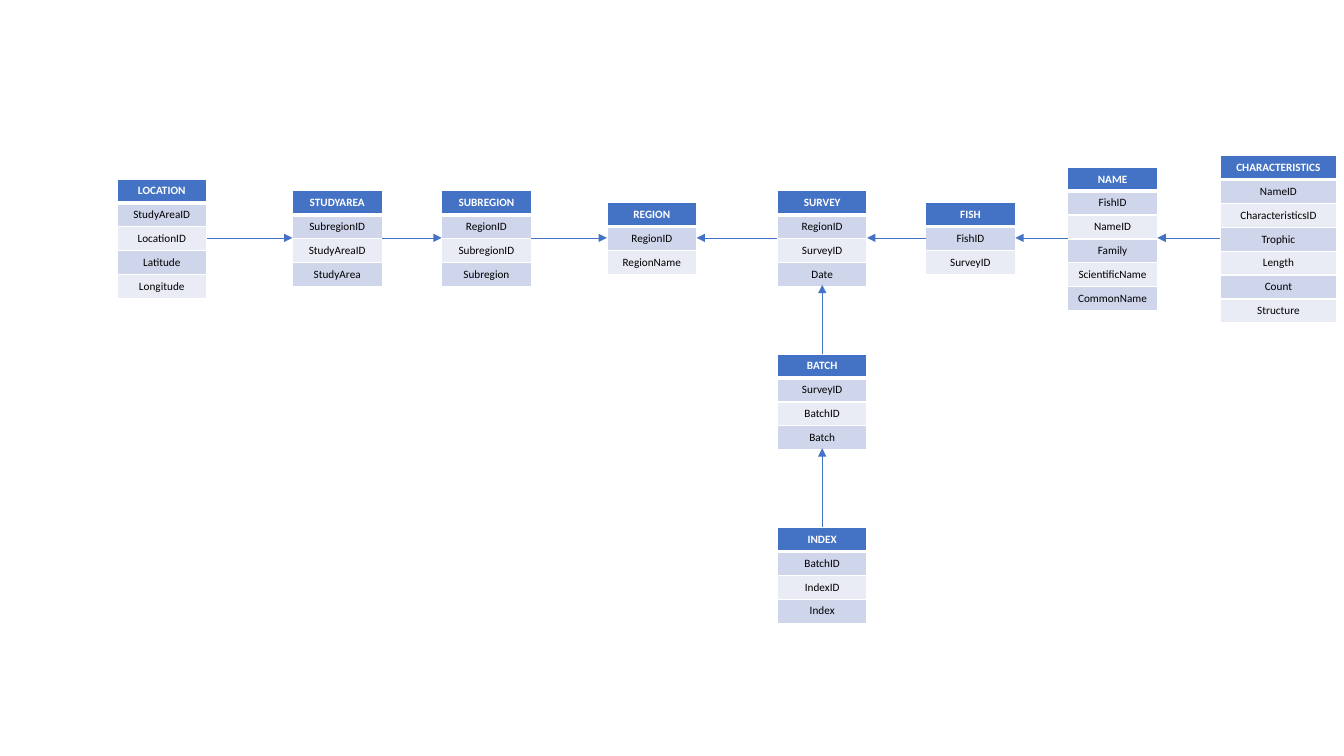
from lxml import etree
from pptx import Presentation
from pptx import util as u
from pptx.dml.color import RGBColor
from pptx.enum import shapes, text
from pptx.oxml import ns

BLUE = RGBColor(0x44, 0x72, 0xC4)
DARK_BAND = RGBColor(0xCF, 0xD5, 0xEA)
LIGHT_BAND = RGBColor(0xE9, 0xEB, 0xF5)
WHITE = RGBColor(0xFF, 0xFF, 0xFF)
BLACK = RGBColor(0, 0, 0)

# Entities: name -> (left, vertical centre, width, fields)
ENTITIES = {
    "STUDYAREA": (2.9, 2.36, 0.89, ["SubregionID", "StudyAreaID", "StudyArea"]),
    "LOCATION": (1.16, 2.36, 0.89, ["StudyAreaID", "LocationID", "Latitude", "Longitude"]),
    "SURVEY": (7.71, 2.36, 0.89, ["RegionID", "SurveyID", "Date"]),
    "REGION": (6.02, 2.36, 0.89, ["RegionID", "RegionName"]),
    "FISH": (9.18, 2.36, 0.89, ["FishID", "SurveyID"]),
    "SUBREGION": (4.38, 2.36, 0.89, ["RegionID", "SubregionID", "Subregion"]),
    "BATCH": (7.71, 3.98, 0.89, ["SurveyID", "BatchID", "Batch"]),
    "NAME": (10.59, 2.36, 0.89,
             ["FishID", "NameID", "Family", "ScientificName", "CommonName"]),
    "INDEX": (7.71, 5.7, 0.89, ["BatchID", "IndexID", "Index"]),
    "CHARACTERISTICS": (12.1, 2.36, 1.16,
                        ["NameID", "CharacteristicsID", "Trophic", "Length",
                         "Count", "Structure"]),
}

# Relations: (from, to, direction)
RELATIONS = [
    ("LOCATION", "STUDYAREA", "right"),
    ("STUDYAREA", "SUBREGION", "right"),
    ("SUBREGION", "REGION", "right"),
    ("SURVEY", "REGION", "left"),
    ("FISH", "SURVEY", "left"),
    ("NAME", "FISH", "left"),
    ("CHARACTERISTICS", "NAME", "left"),
    ("BATCH", "SURVEY", "up"),
    ("INDEX", "BATCH", "up"),
]

# Direction -> (connector kind, start side, end side)
ROUTES = {
    "right": (shapes.MSO_CONNECTOR.ELBOW, 3, 1),
    "left": (shapes.MSO_CONNECTOR.ELBOW, 1, 3),
    "up": (shapes.MSO_CONNECTOR.STRAIGHT, 0, 2),
}

ROW_HEIGHT = u.Pt(16.8)
HEADER_FONT = {"name": "Calibri", "size": u.Pt(8), "bold": True}
FIELD_FONT = {**HEADER_FONT, "bold": False}


def set_borders(cell, bottom_width):
    """Draw white cell borders; they precede the fill in the XML."""
    properties = cell._tc.get_or_add_tcPr()
    widths = {"lnL": 1, "lnR": 1, "lnT": 1, "lnB": bottom_width}
    for index, (side, width) in enumerate(widths.items()):
        line = etree.Element(ns.qn(f"a:{side}"), w=str(u.Pt(width)))
        fill = etree.SubElement(line, ns.qn("a:solidFill"))
        etree.SubElement(fill, ns.qn("a:srgbClr"), val=str(WHITE))
        properties.insert(index, line)


def fill_cell(cell, label, row):
    header = row == 0
    cell.fill.solid()
    cell.fill.fore_color.rgb = BLUE if header else DARK_BAND if row % 2 else LIGHT_BAND
    para = cell.text_frame.paragraphs[0]
    para.alignment = text.PP_ALIGN.CENTER
    span = para.add_run()
    span.text = label
    for key, value in (HEADER_FONT if header else FIELD_FONT).items():
        setattr(span.font, key, value)
    span.font.color.rgb = WHITE if header else BLACK
    # The header's lower edge and the first field's upper edge share one line
    set_borders(cell, 3 if header else 1)


def add_entity(page, name, left, centre, width, fields):
    labels = [name, *fields]
    height = ROW_HEIGHT * len(labels)
    top = u.Inches(centre) - height // 2
    frame = page.shapes.add_table(len(labels), 1, u.Inches(left), top,
                                  u.Inches(width), height)
    for row, label in enumerate(labels):
        frame.table.rows[row].height = ROW_HEIGHT
        fill_cell(frame.table.cell(row, 0), label, row)
    return frame


def add_relation(page, source, target, direction):
    kind, start_side, end_side = ROUTES[direction]
    arrow = page.shapes.add_connector(kind, 0, 0, 0, 0)
    arrow.begin_connect(source, start_side)
    arrow.end_connect(target, end_side)
    arrow.line.color.rgb = BLUE
    arrow.line.width = u.Pt(0.5)
    etree.SubElement(arrow.line._get_or_add_ln(), ns.qn("a:tailEnd"), type="triangle")
    etree.SubElement(arrow._element.spPr, ns.qn("a:effectLst"))


def main():
    deck = Presentation()
    deck.slide_width, deck.slide_height = u.Inches(13.33), u.Inches(7.5)
    page = deck.slides.add_slide(deck.slide_layouts[6])

    # Entity tables, then the arrows between them
    frames = {name: add_entity(page, name, *details)
              for name, details in ENTITIES.items()}
    for source, target, direction in RELATIONS:
        add_relation(page, frames[source], frames[target], direction)

    deck.save("out.pptx")


if __name__ == "__main__":
    main()
